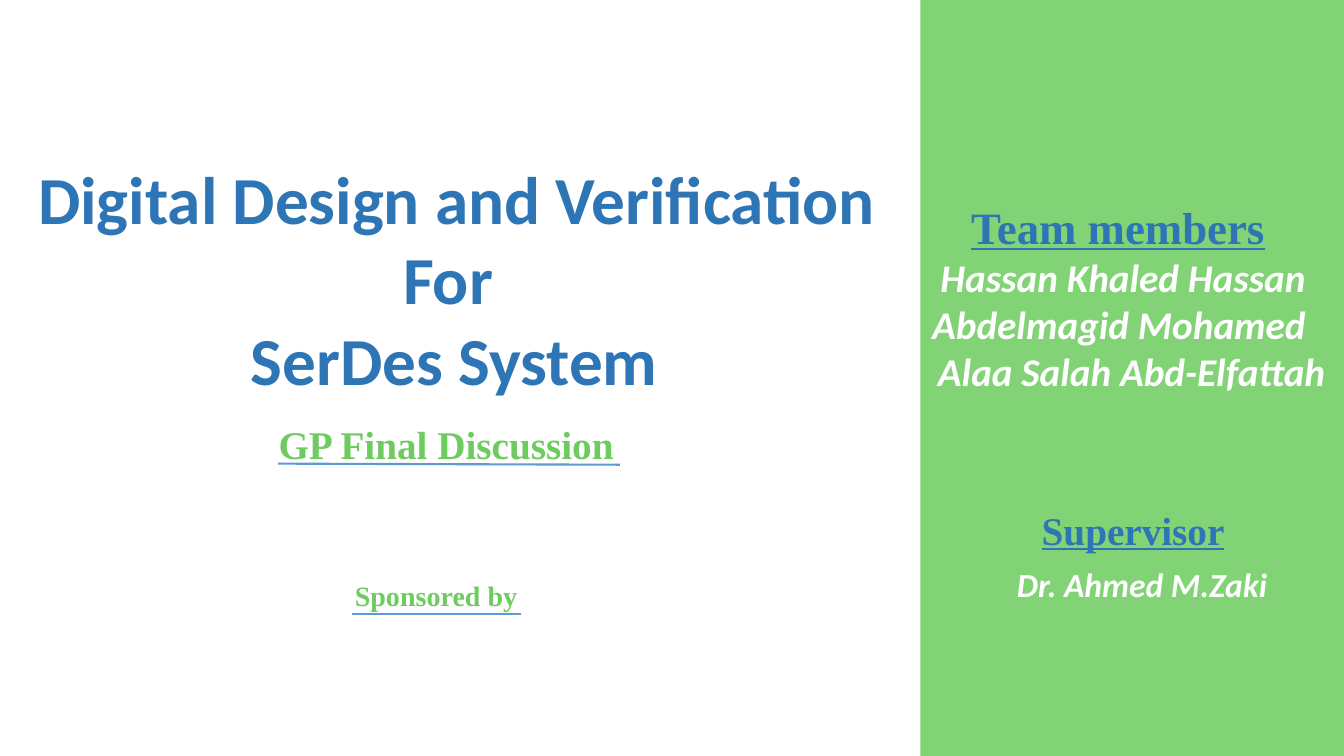
from dataclasses import dataclass
from lxml.etree import SubElement
from pptx import Presentation
from pptx.dml.color import RGBColor as Rgb
from pptx.enum.shapes import MSO_CONNECTOR as Conn, MSO_SHAPE as Shape
from pptx.enum.text import MSO_AUTO_SIZE as Fit, PP_ALIGN as Align
from pptx.oxml.ns import qn
from pptx.util import Inches, Pt


@dataclass(frozen=True)
class Theme:
    blue: str = "2E75B6"
    green: str = "6ECB60"
    panel: str = "82D276"
    white: str = "FFFFFF"
    rule: str = "5B9BD5"
    sans: str = "Calibri"
    serif: str = "Times New Roman"
    title: int = 48
    head: int = 32
    body: int = 28
    name: int = 24
    small: int = 20
    line: float = 1.5


T = Theme()

# Places are left, top, width, height in percent of the slide.
# Each text line comes with its left indent in percent of the slide width.
PANEL = (68.48, 0, 31.52, 100)
TITLE = [("Digital Design and Verification", 0), ("For", 27.15),
         ("SerDes System", 15.83)]
TEAM = [("Team members", 2.55)]
NAMES = [("Hassan Khaled Hassan", 3.3), ("Abdelmagid Mohamed", 2.7),
         ("Alaa Salah Abd-Elfattah", 4.58)]

HEAD = dict(font=T.serif, color=T.blue, line=True, align=Align.CENTER)
NAME = dict(font=T.sans, color=T.white, italic=True)
NOTE = dict(font=T.serif, color=T.green, align=Align.CENTER)

BOXES = [
    ((63.83, 25.73, 36.15, 27.33), True, [
        (TEAM, dict(HEAD, size=T.head)),
        (NAMES, dict(NAME, size=T.body, align=Align.CENTER))]),
    ((75.98, 66.27, 16.65, 7.6), True, [
        ([("Supervisor", 0)], dict(HEAD, size=T.body))]),
    ((74.48, 73.87, 22.05, 6.67), True, [
        ([("Dr. Ahmed M.Zaki", 0.45)], dict(NAME, size=T.name))]),
    ((2.1, 20.13, 76.43, 33.6), True, [
        (TITLE, dict(font=T.sans, color=T.blue, size=T.title))]),
    ((18.45, 54.93, 29.48, 7.6), True, [
        ([("GP Final Discussion", 0)], dict(NOTE, size=T.body))]),
    ((25.58, 75.87, 13.73, 5.87), False, [
        ([("Sponsored by", 0)], dict(NOTE, size=T.small))]),
]
RULES = [(20.7, 61.33, 46.13, 61.47), (26.18, 81.2, 38.78, 81.2)]

deck = Presentation()
deck.slide_width, deck.slide_height = Inches(13.33), Inches(7.5)
slide = deck.slides.add_slide(deck.slide_layouts[6])


def across(part):
    return round(deck.slide_width * part / 100)


def place(a, b, c, d):
    """Turn two pairs of percent values into slide lengths."""
    high = deck.slide_height / 100
    return across(a), round(b * high), across(c), round(d * high)


def write(para, text, *, font, color, size, align=Align.LEFT, indent=0,
          line=False, italic=False):
    props = para._p.get_or_add_pPr()
    props.set("marL", str(across(indent)))
    props.set("indent", "0")
    para.alignment = align
    run = para.add_run()
    run.text = text
    face = run.font
    face.name, face.size = font, Pt(size)
    face.bold, face.italic, face.underline = True, italic, line
    face.color.rgb = Rgb.from_string(color)


def add_box(spot, wrap, groups):
    frame = slide.shapes.add_textbox(*place(*spot)).text_frame
    frame.word_wrap, frame.auto_size = wrap, Fit.SHAPE_TO_FIT_TEXT
    rows = [(row, style) for rows, style in groups for row in rows]
    for i, ((text, indent), style) in enumerate(rows):
        para = frame.add_paragraph() if i else frame.paragraphs[0]
        write(para, text, indent=indent, **style)


def add_rule(spot):
    rule = slide.shapes.add_connector(Conn.STRAIGHT, *place(*spot))
    rule.line.color.rgb = Rgb.from_string(T.rule)
    rule.line.width = Pt(T.line)
    SubElement(rule._element.spPr, qn("a:effectLst"))


panel = slide.shapes.add_shape(Shape.RECTANGLE, *place(*PANEL))
panel.shadow.inherit = False
panel.fill.solid()
panel.fill.fore_color.rgb = Rgb.from_string(T.panel)
panel.line.fill.background()

for box in BOXES:
    add_box(*box)
for rule in RULES:
    add_rule(rule)

deck.save("out.pptx")
